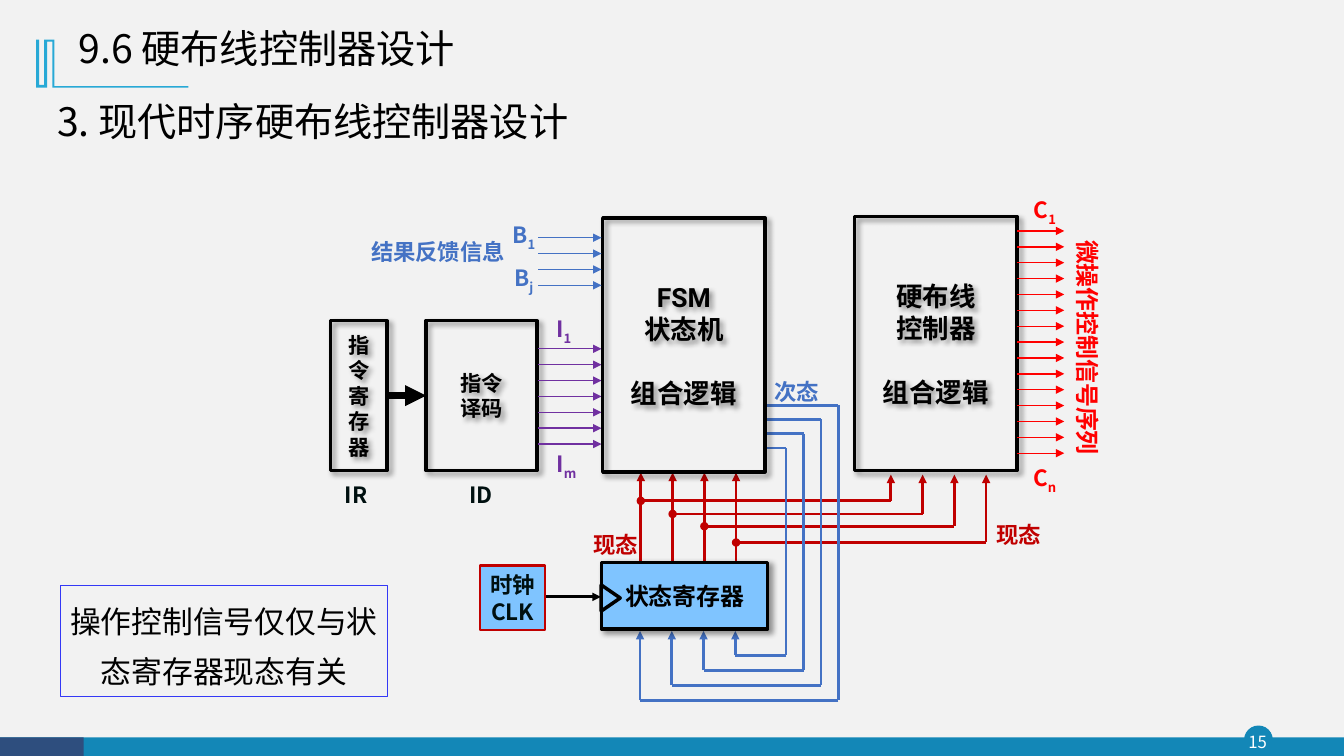
from lxml.etree import SubElement as Sub
from pptx import Presentation
from pptx.dml.color import RGBColor as RGB
from pptx.enum.shapes import MSO_CONNECTOR as LINK, MSO_SHAPE as FORM
from pptx.enum.text import MSO_ANCHOR as ANCHOR, PP_ALIGN as ALIGN
from pptx.oxml.ns import qn
from pptx.util import Cm, Pt

HUES = {
    "back": "F2F2F2", "teal": "1387B7", "navy": "2E4E7E", "sky": "28A9D6",
    "black": "000000", "ink": "001010", "white": "FFFFFF", "blue": "4472C4",
    "plum": "7030A0", "red": "FF0000", "wine": "C00000", "pale": "7FC4FF",
    "edge": "3438F6",
}
SANS = "Noto Sans CJK SC"
STEP = 0.4
LANE = 0.8


def hue(name):
    return RGB.from_string(HUES[name])


def write(shape, text, size=16, color="black", font=SANS, bold=True, sub="",
          align=ALIGN.CENTER, anchor=ANCHOR.MIDDLE, wrap=True, lead=None):
    frame = shape.text_frame
    frame.text = text
    frame.word_wrap = wrap
    frame.vertical_anchor = anchor
    if sub:
        run = frame.paragraphs[0].add_run()
        run.text = sub
        run._r.get_or_add_rPr().set("baseline", "-25000")
    for para in frame.paragraphs:
        para.alignment = align
        if lead:
            para.line_spacing = lead
        for run in para.runs:
            run.font.size = Pt(size)
            run.font.bold = bold
            run.font.name = font
            run.font.color.rgb = hue(color)
            east = font if font.startswith("Noto") else SANS
            Sub(run._r.rPr, qn("a:ea"), typeface=east)
    return frame


def label(slide, x, y, w, h, text, **style):
    box = slide.shapes.add_textbox(Cm(x), Cm(y), Cm(w), Cm(h))
    style.setdefault("anchor", ANCHOR.TOP)
    return box, write(box, text, **style)


def block(slide, x, y, w, h, fill=None, line=None, width=1, form=FORM.RECTANGLE):
    shape = slide.shapes.add_shape(form, Cm(x), Cm(y), Cm(w), Cm(h))
    shape.shadow.inherit = False
    if fill:
        shape.fill.solid()
        shape.fill.fore_color.rgb = hue(fill)
    else:
        shape.fill.background()
    if line:
        shape.line.color.rgb = hue(line)
        shape.line.width = Pt(width)
    else:
        shape.line.fill.background()
    return shape


def unit(slide, x, y, w, h, text, size, fill=None):
    shape = block(slide, x, y, w, h, fill, "black", 2.5)
    glow = shape._element.spPr.find(qn("a:effectLst"))
    cast = Sub(glow, qn("a:outerShdw"), blurRad=str(Pt(4)), dist=str(Pt(3)),
               dir="2700000", algn="tl", rotWithShape="0")
    tint = Sub(cast, qn("a:srgbClr"), val=HUES["black"])
    Sub(tint, qn("a:alpha"), val="40000")
    return write(shape, text, size, font="Roboto")


def wire(slide, x1, y1, x2, y2, color, width=1, head=None, tail=None):
    link = slide.shapes.add_connector(LINK.STRAIGHT, Cm(x1), Cm(y1), Cm(x2), Cm(y2))
    link.line.color.rgb = hue(color)
    link.line.width = Pt(width)
    pen = link.line._get_or_add_ln()
    for tag, kind in (("a:headEnd", head), ("a:tailEnd", tail)):
        if kind:
            Sub(pen, qn(tag), type=kind)
    Sub(link._element.spPr, qn("a:effectLst"))


def comb(slide, x, y, w, count, color):
    for row in range(count):
        level = y + row * STEP
        wire(slide, x, level, x + w, level, color, tail="triangle")


def footer(slide, x, y, w, h):
    block(slide, x + 31.37, y - 0.28, 0.69, 0.69, "teal", "teal", form=FORM.OVAL)
    block(slide, x, y, w, h, "teal")
    block(slide, x, y, 2.11, h, "navy")
    box, frame = label(slide, x + 31.29, y - 0.28, 0.81, 0.79, "15", size=12,
                       color="white", bold=False, anchor=ANCHOR.MIDDLE)
    frame.margin_left = frame.margin_right = 0
    frame.margin_top = frame.margin_bottom = 0


def header(slide, x, y, w, h):
    dots = [(0.46, 0), (0.46, 1.17), (3.84, 1.17), (3.84, 1.21), (0.41, 1.21),
            (0.41, 0.05), (0.28, 0.05), (0.28, 1.21), (0, 1.21), (0, 0),
            (0.08, 0), (0.08, 1.14), (0.2, 1.14), (0.2, 0)]
    spots = [(Cm(x + a), Cm(y + b)) for a, b in dots]
    pen = slide.shapes.build_freeform(*spots[0], scale=1.0)
    pen.add_line_segments(spots[1:], close=True)
    mark = pen.convert_to_shape()
    mark.shadow.inherit = False
    mark.fill.solid()
    mark.fill.fore_color.rgb = hue("sky")
    mark.line.fill.background()
    label(slide, x + 0.82, y - 0.58, w - 4.8, 1.73, "9.6 硬布线控制器设计", size=28,
          bold=False, align=ALIGN.LEFT, anchor=ANCHOR.MIDDLE, lead=0.9)
    label(slide, x + 0.28, y + h - 1.45, w, 1.45, "3. 现代时序硬布线控制器设计", size=28,
          font="Noto Sans CJK JP", bold=False, align=ALIGN.LEFT)


def decode(slide, x, y, w, h):
    unit(slide, x, y, 1.42, h, "指令寄存器", 15.2)
    unit(slide, x + 2.41, y, 2.79, h, "指令\n译码", 15.2)
    wire(slide, x + 1.42, y + h / 2, x + 2.41, y + h / 2, "black", 5, tail="triangle")
    for shift, name in ((0, "IR"), (3.15, "ID")):
        label(slide, x + shift, y + h + 0.13, 1.3, 0.94, name, color="ink")
    comb(slide, x + 5.23, y + 0.71, w - 5.23, 7, "plum")
    for drop, wide, sub in ((-0.26, 0.94, "1"), (3.15, 1.07, "m")):
        label(slide, x + 5.41, y + drop, wide, 0.94, "I", color="plum", sub=sub, wrap=False)


def logic(slide, x, y, w, h, text):
    frame = unit(slide, x, y, w, h, text, 18.9)
    frame.paragraphs[2].space_before = Pt(23)


def machine(slide, x, y, w, h):
    logic(slide, x, y, w, h, "FSM\n状态机\n组合逻辑")
    comb(slide, x - 1.63, y + 0.5, 1.6, 4, "blue")
    label(slide, x - 6.12, y + 0.38, 3.94, 0.94, "结果反馈信息", color="blue",
          font="Arial", wrap=False)
    for drop, sub in ((-0.03, "1"), (1.04, "j")):
        label(slide, x - 2.54, y + drop, 1.1, 0.94, "B", color="blue", sub=sub, wrap=False)
    label(slide, x + w - 0.18, y + 3.91, 1.96, 0.94, "次态", color="blue")


def control(slide, x, y, w, h):
    logic(slide, x, y, w, h, "硬布线\n控制器\n组合逻辑")
    comb(slide, x + w, y + 0.36, 1.19, 15, "red")
    for drop, sub in ((-0.63, "1"), (6.12, "n")):
        label(slide, x + w + 0.13, y + drop, 1.14, 0.94, "C", color="red", sub=sub, wrap=False)
    box, frame = label(slide, x + 2.87, y + 2.8, 5.99, 0.99, "微操作控制信号序列",
                       size=17.1, color="red", wrap=False)
    box.rotation = 90


def present(slide, x, y, w, h):
    for lane, drop in enumerate((0.71, 1.04, 1.35, 1.76)):
        left = x + lane * LANE
        right = left + w
        level = y + drop
        wire(slide, left, y + h, left, y, "wine", 2, tail="triangle")
        wire(slide, left, level, right, level, "wine", 2, head="oval")
        wire(slide, right, level, right, y + 0.05, "wine", 2, tail="triangle")
    label(slide, x - 1.62, y + 1.35, 1.96, 0.94, "现态", color="wine")
    label(slide, x + 8.54, y + 1.09, 1.96, 0.94, "现态", color="wine")


def future(slide, x, y, w, h):
    for lane in range(4):
        left = x + lane * LANE
        right = x + w - lane * 0.44
        top = y + lane * 0.36
        base = y + h - lane * 0.38
        path = [(x + 3.2, top), (right, top), (right, base), (left, base), (left, y + 5.69)]
        for turn, (start, end) in enumerate(zip(path, path[1:])):
            wire(slide, *start, *end, "blue", 2, tail="triangle" if turn == 3 else None)


def store(slide, x, y, w, h):
    unit(slide, x, y, w, h, "状态寄存器", 17.1, "pale")
    wire(slide, x - 1.5, y + 0.87, x - 0.02, y + 0.87, "black", 2, tail="triangle")
    clock = block(slide, x - 3.07, y + 0.08, 1.65, 1.63, "pale", "wine", 1.5)
    write(clock, "时钟\nCLK", color="ink", wrap=False)
    notch = block(slide, x - 0.1, y + 0.66, 0.66, 0.48, "pale", "black", 2.5,
                  FORM.ISOSCELES_TRIANGLE)
    notch.rotation = 90


def remark(slide, x, y, w, h):
    frame = write(block(slide, x, y, w, h, line="edge"), "操作控制信号仅仅与状态寄存器现态有关",
                  22, font="Arial", bold=False, lead=1.35, anchor=ANCHOR.TOP)
    frame.margin_left = frame.margin_right = Cm(0.2)


def main():
    deck = Presentation()
    deck.slide_width, deck.slide_height = Cm(33.87), Cm(19.05)
    slide = deck.slides.add_slide(deck.slide_layouts[6])
    slide.background.fill.solid()
    slide.background.fill.fore_color.rgb = hue("back")
    footer(slide, 0, 18.58, 33.87, 0.47)
    header(slide, 0.91, 1, 17.45, 2.79)
    decode(slide, 8.33, 8.08, 6.83, 3.78)
    present(slide, 16.15, 11.91, 6.3, 2.4)
    future(slide, 16.13, 10.21, 5, 7.44)
    machine(slide, 15.19, 5.49, 4.09, 6.4)
    control(slide, 21.54, 5.46, 4.09, 6.4)
    store(slide, 15.16, 14.17, 4.19, 1.68)
    remark(slide, 1.52, 14.75, 8.25, 2.8)
    deck.save("out.pptx")


if __name__ == "__main__":
    main()
